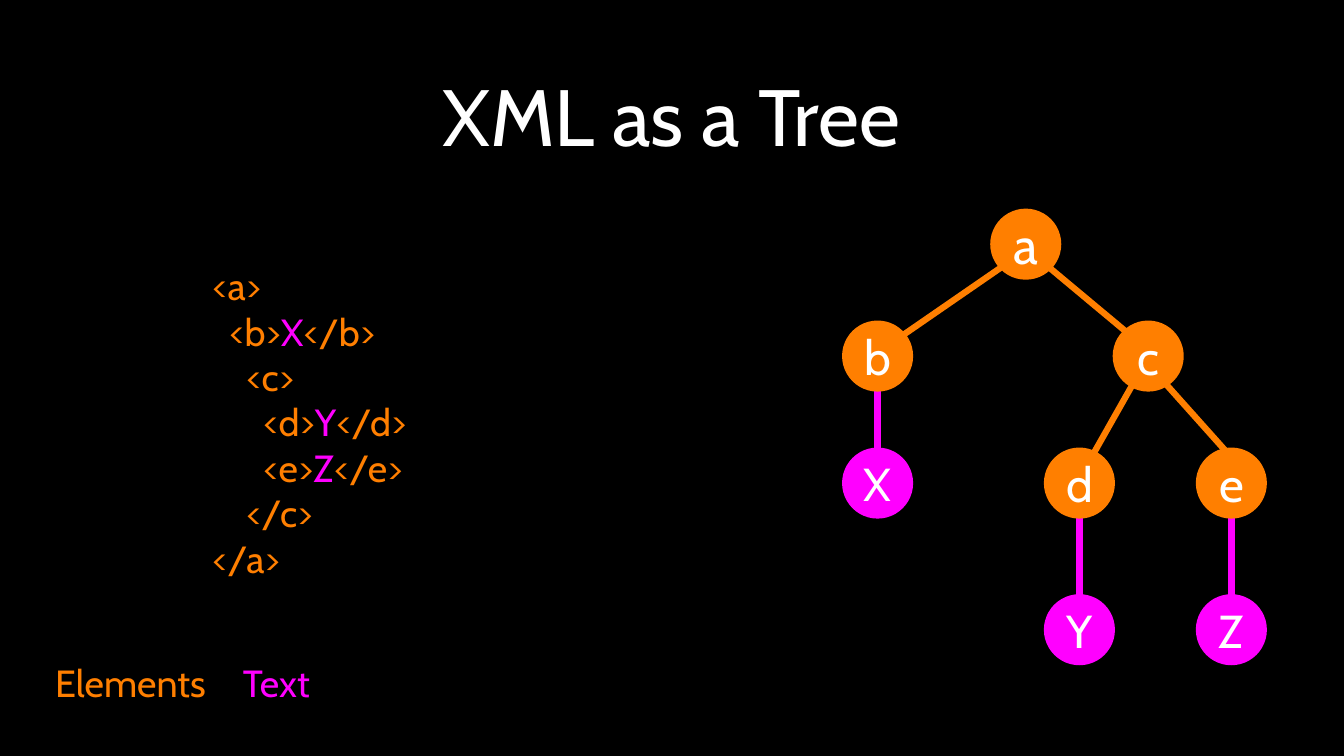
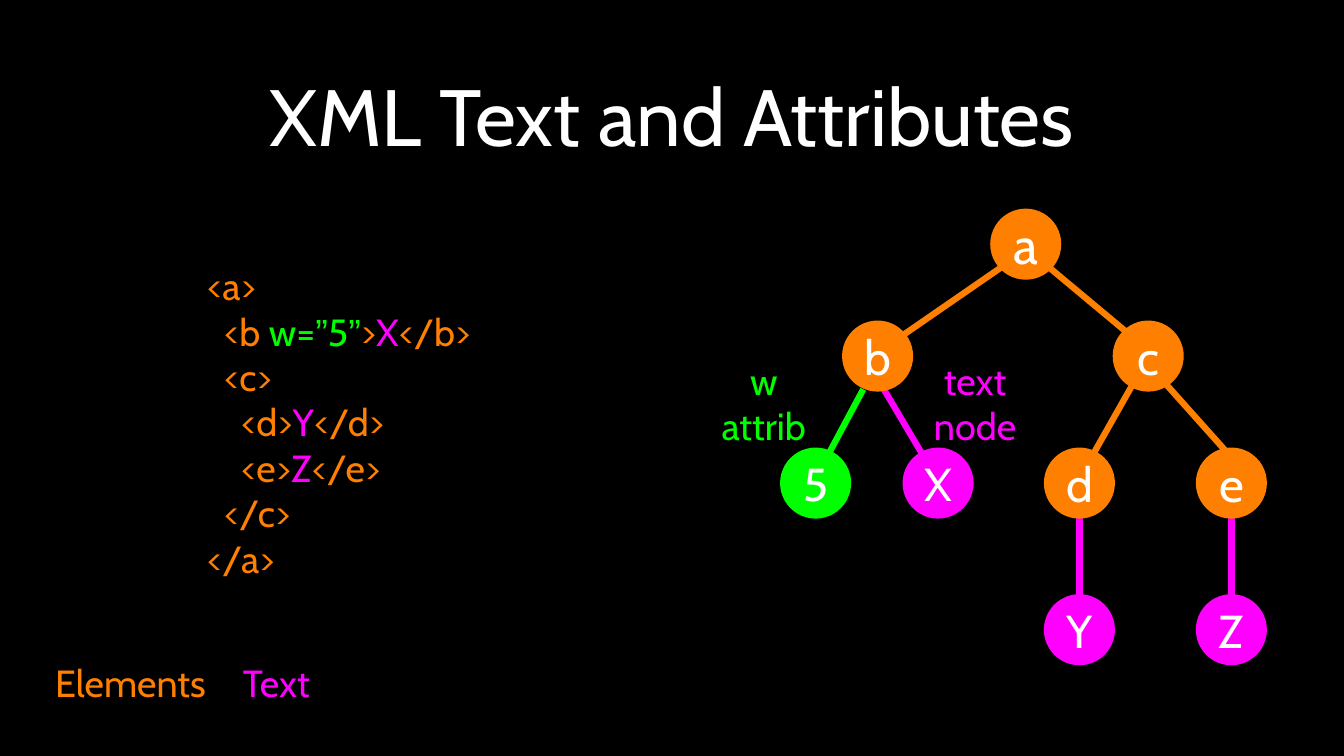
import pptx
import pptx.dml.color
import pptx.enum.shapes
import pptx.enum.text
import pptx.oxml.ns
import pptx.util
from lxml import etree

WIDE, HIGH = 17.78, 10
BLACK, WHITE = "000000", "FFFFFF"
ORANGE, PINK, GREEN = "FF7F00", "FF00FF", "00FF00"
FONT, QUOTE = "Cabin", "Arial"
BODY = 36
DISC = 0.94
LEVELS = [0, 1.48, 3.16, 5.1]
LEFT, MID = pptx.enum.text.PP_ALIGN.LEFT, pptx.enum.text.PP_ALIGN.CENTER

# name, column, level, colour, size
NODES = [
    ("a", 2.78, 0, ORANGE, 49),
    ("b", 0.82, 1, ORANGE, 46),
    ("c", 4.4, 1, ORANGE, 46),
    ("d", 3.49, 2, ORANGE, 46),
    ("e", 5.5, 2, ORANGE, 46),
    ("Y", 3.49, 3, PINK, 44),
    ("Z", 5.5, 3, PINK, 44),
]
STEMS = [(3.96, 4.01, 3.96, 5.14, PINK), (5.97, 4.01, 5.97, 5.14, PINK)]
LIMBS = [
    (3.08, 0.67, 1.5, 1.76, ORANGE),
    (3.49, 0.72, 4.64, 1.68, ORANGE),
    (4.69, 2.28, 4.09, 3.34, ORANGE),
    (5.05, 2.26, 5.89, 3.2, ORANGE),
]


def unit(cells):
    """Turn grid cells, a tenth of the slide height each, into a length."""
    return pptx.util.Inches(cells * HIGH / 10)


def tint(hue):
    """Turn a hex string into a colour."""
    return pptx.dml.color.RGBColor.from_string(hue)


def write(frame, lines, size, align=MID, inset=0):
    """Fill a text frame with lines of (text, colour, font) runs."""
    frame.word_wrap = True
    frame.auto_size = pptx.enum.text.MSO_AUTO_SIZE.NONE
    frame.vertical_anchor = pptx.enum.text.MSO_ANCHOR.MIDDLE
    frame.margin_left = frame.margin_right = unit(inset)
    frame.margin_top = frame.margin_bottom = unit(inset)
    for row, line in enumerate(lines):
        para = frame.add_paragraph() if row else frame.paragraphs[0]
        para.alignment = align
        for words, hue, *face in line:
            run = para.add_run()
            run.text = words
            run.font.size = pptx.util.Pt(size)
            run.font.name = face[0] if face else FONT
            run.font.color.rgb = tint(hue)


def label(slide, box, lines, align=MID):
    """Place a text box."""
    area = slide.shapes.add_textbox(*map(unit, box))
    write(area.text_frame, lines, BODY, align)


def head(slide, words):
    """Move and format the title."""
    title = slide.shapes.title
    title.left, title.top, title.width, title.height = map(unit, (1.26, 0.26, 15.24, 2.51))
    write(title.text_frame, [[(words, WHITE)]], 76, inset=0.04)


def branch(slide, left, top, edge):
    """Draw one line of the tree."""
    ax, ay, bx, by, hue = edge
    ends = (left + ax, top + ay, left + bx, top + by)
    kind = pptx.enum.shapes.MSO_CONNECTOR.STRAIGHT
    line = slide.shapes.add_connector(kind, *map(unit, ends))
    line.line.color.rgb = tint(hue)
    line.line.width = pptx.util.Pt(6)
    etree.SubElement(line._element.spPr, pptx.oxml.ns.qn("a:effectLst"))


def node(slide, left, top, item):
    """Draw one disc of the tree."""
    name, col, level, hue, size = item
    kind = pptx.enum.shapes.MSO_SHAPE.OVAL
    box = (left + col, top + LEVELS[level], DISC, DISC)
    disc = slide.shapes.add_shape(kind, *map(unit, box))
    disc.shadow.inherit = False
    disc.fill.solid()
    disc.fill.fore_color.rgb = tint(hue)
    disc.line.fill.background()
    write(disc.text_frame, [[(name, WHITE)]], size)


def tree(slide, left, top, stems, leaves, limbs=()):
    """Draw stems, then discs, then limbs from the given corner."""
    for edge in [*stems, *STEMS]:
        branch(slide, left, top, edge)
    for item in [*NODES, *leaves]:
        node(slide, left, top, item)
    for edge in [*LIMBS, *limbs]:
        branch(slide, left, top, edge)


def legend(slide, left, top):
    """Name the two colours."""
    label(slide, (left, top, 2.17, 0.6), [[("Elements", ORANGE)]])
    label(slide, (left + 2.51, top, 1.01, 0.6), [[("Text", PINK)]])


def tag(words):
    """Give a line with only element markup."""
    return [(words, ORANGE)]


def leaf(pad, name, words):
    """Give a line with an element that holds text."""
    return [(f"{pad}<{name}>", ORANGE), (words, PINK), (f"</{name}>", ORANGE)]


def code(slide, box, first, pad):
    """Show the markup, with c indented by the given spaces."""
    deep = pad + "  "
    lines = [tag("<a>"), first, tag(pad + "<c>"), leaf(deep, "d", "Y"),
             leaf(deep, "e", "Z"), tag(pad + "</c>"), tag("</a>")]
    label(slide, box, lines, LEFT)


def start(deck, words):
    """Add a slide with the shared parts."""
    slide = deck.slides.add_slide(deck.slide_layouts[5])
    head(slide, words)
    legend(slide, 0.64, 8.72)
    return slide


def plain(deck):
    """Build the slide on the tree."""
    slide = start(deck, "XML as a Tree")
    code(slide, (2.81, 3.48, 3.01, 4.2), leaf("  ", "b", "X"), "    ")
    tree(slide, 10.32, 2.76, [(1.29, 2.25, 1.29, 3.38, PINK)],
         [("X", 0.82, 2, PINK, 44)])


def rich(deck):
    """Build the slide on text and attributes."""
    slide = start(deck, "XML Text and Attributes")
    first = [("  <b ", ORANGE), ("w=", GREEN), ("”", GREEN, QUOTE), ("5", GREEN),
             ("”", GREEN, QUOTE), (">", ORANGE), ("X", PINK), ("</b>", ORANGE)]
    code(slide, (2.74, 3.48, 4.19, 4.2), first, "  ")
    tree(slide, 10.32, 2.76, [(1.29, 2.25, 1.9, 3.28, PINK)],
         [("X", 1.62, 2, PINK, 44), ("5", 0, 2, GREEN, 44)],
         [(1.1, 2.39, 0.65, 3.23, GREEN)])
    label(slide, (9.46, 4.73, 1.29, 1.2), [[("w", GREEN)], [("attrib", GREEN)]])
    label(slide, (12.3, 4.73, 1.2, 1.2), [[("text", PINK)], [("node", PINK)]])


def main():
    """Build and save the deck."""
    deck = pptx.Presentation()
    deck.slide_width, deck.slide_height = unit(WIDE), unit(HIGH)
    back = deck.slide_master.background.fill
    back.solid()
    back.fore_color.rgb = tint(BLACK)
    plain(deck)
    rich(deck)
    deck.save("out.pptx")


if __name__ == "__main__":
    main()
